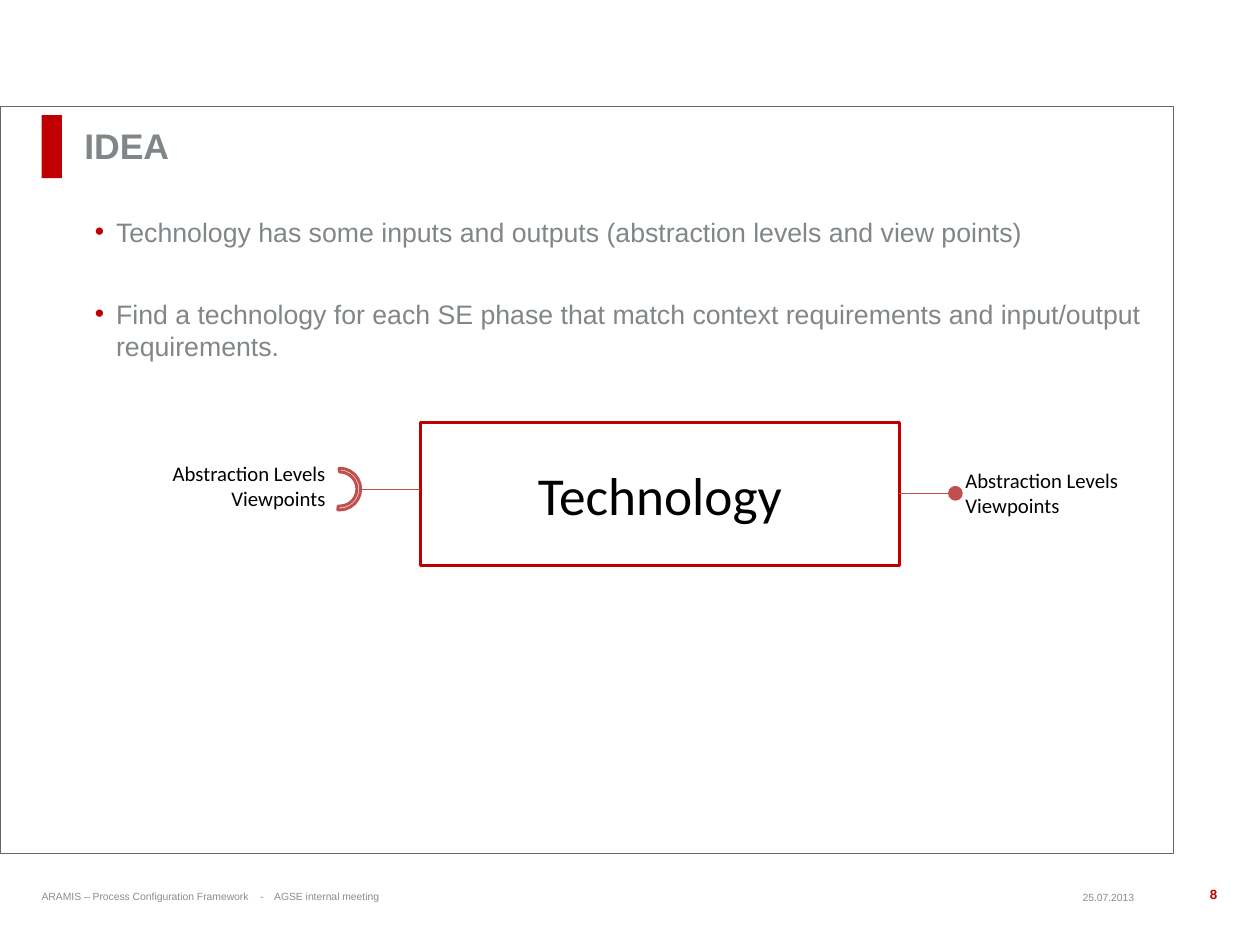
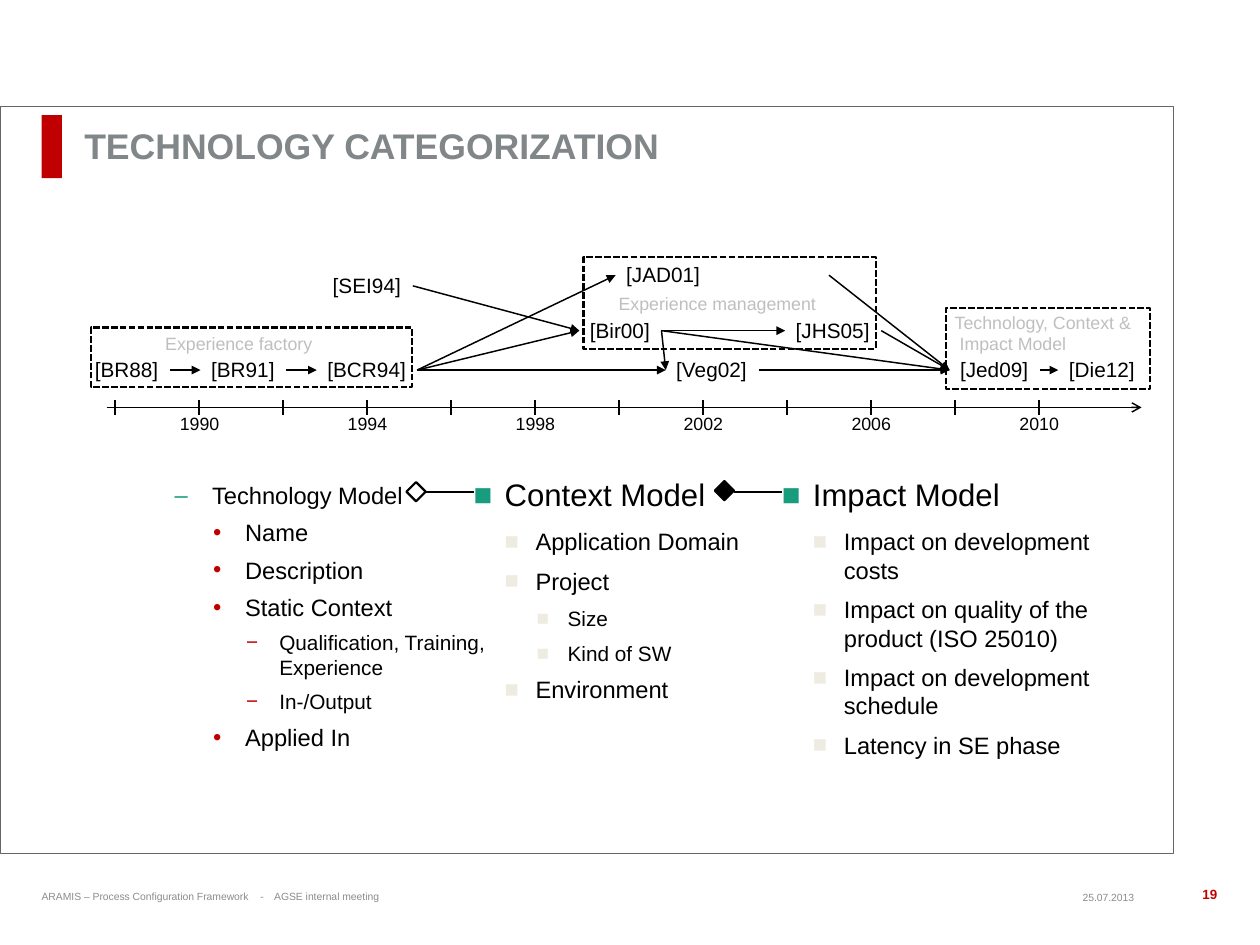
from lxml.etree import SubElement
from pptx import Presentation
from pptx.dml.color import RGBColor
from pptx.enum.dml import MSO_LINE
from pptx.enum.shapes import MSO_CONNECTOR, MSO_SHAPE
from pptx.enum.text import MSO_ANCHOR, PP_ALIGN
from pptx.oxml.ns import qn
from pptx.util import Inches, Pt

COLORS = {
    "red": "C00000", "rose": "C0504D", "black": "000000", "white": "FFFFFF",
    "title": "818689", "foot": "8C8C8C", "frame": "666666",
    "pale": "BFBFBF", "teal": "179C7D", "cream": "EEECE1",
}
ROW = 0.34
AXIS = 3.82
STEP = 0.787

# level: (indent, hang, bullet, colour, text size)
DASHED = [
    (0.63, 0.35, "–", "teal", 16),
    (0.94, 0.30, "•", "red", 16),
    (1.26, 0.31, "−", "red", 14),
]
SQUARE = [
    (0.29, 0.29, "■", "teal", 21),
    (0.58, 0.29, "■", "cream", 16),
    (0.88, 0.29, "■", "cream", 14),
]
TECH = [
    (0, "Technology Model"), (1, "Name"), (1, "Description"),
    (1, "Static Context"), (2, "Qualification, Training, Experience"),
    (2, "In-/Output"), (1, "Applied In"),
]
CONTEXT = [
    (0, "Context Model"), (1, "Application Domain"), (1, "Project"),
    (2, "Size"), (2, "Kind of SW"), (1, "Environment"),
]
IMPACT = [
    (0, "Impact Model"), (1, "Impact on development costs"),
    (1, "Impact on quality of the product (ISO 25010)"),
    (1, "Impact on development schedule"), (1, "Latency in SE phase"),
]
# source: (left, top, width)
PAPERS = {
    "BR88": (0.79, 3.30, 0.80), "BR91": (1.88, 3.30, 0.80),
    "BCR94": (2.97, 3.30, 0.94), "SEI94": (3.02, 2.51, 0.85),
    "JAD01": (5.77, 2.41, 0.91), "Bir00": (5.43, 2.93, 0.77),
    "JHS05": (7.36, 2.93, 0.90), "Veg02": (6.24, 3.30, 0.87),
    "Jed09": (8.90, 3.30, 0.85), "Die12": (9.92, 3.30, 0.85),
}
LINKS = [
    ("BR88", "BR91"), ("BR91", "BCR94"), ("BCR94", "JAD01"),
    ("BCR94", "Bir00"), ("BCR94", "Veg02"), ("SEI94", "Bir00"),
    ("Bir00", "JHS05"), ("Bir00", "Veg02"), ("Bir00", "Jed09"),
    ("JHS05", "Jed09"), ("Veg02", "Jed09"), ("Jed09", "Die12"),
]


def color(name):
    return RGBColor.from_string(COLORS[name])


def style(par, size, tone, bold=False, face="Arial"):
    font = par.font
    font.size, font.bold, font.name = Pt(size), bold, face
    font.color.rgb = color(tone)


def paint(shape, fill=None, line=None, width=1.0, dash=None):
    shape.shadow.inherit = False
    if fill:
        shape.fill.solid()
        shape.fill.fore_color.rgb = color(fill)
    else:
        shape.fill.background()
    if line:
        shape.line.color.rgb = color(line)
        shape.line.width = Pt(width)
        shape.line.dash_style = dash
    else:
        shape.line.fill.background()


def block(slide, kind, area, **look):
    shape = slide.shapes.add_shape(kind, *map(Inches, area))
    paint(shape, **look)
    return shape


def frame_box(slide, area, inset=True, wrap=True, anchor=MSO_ANCHOR.TOP):
    box = slide.shapes.add_textbox(*map(Inches, area))
    frame = box.text_frame
    frame.word_wrap = wrap
    frame.vertical_anchor = anchor
    if not inset:
        frame.margin_left = frame.margin_right = 0
        frame.margin_top = frame.margin_bottom = 0
    return box


def label(slide, text, area, size, tone="black", bold=False, face="Arial",
          align=PP_ALIGN.LEFT, **layout):
    box = frame_box(slide, area, **layout)
    box.text_frame.text = text
    for par in box.text_frame.paragraphs:
        par.alignment = align
        style(par, size, tone, bold, face)
    return box


def line(slide, start, end, tone="black", width=1.0, head=None):
    """Draw a straight line; head names the arrowhead at its end."""
    link = slide.shapes.add_connector(
        MSO_CONNECTOR.STRAIGHT, *map(Inches, (*start, *end)))
    link.line.color.rgb = color(tone)
    link.line.width = Pt(width)
    if head:
        SubElement(link.line._get_or_add_ln(), qn("a:tailEnd"), type=head)
    SubElement(link._element.spPr, qn("a:effectLst"))
    return link


def bullet(par, indent, hang, mark, tone):
    props = par._p.get_or_add_pPr()
    props.set("marL", str(Inches(indent)))
    props.set("indent", str(-Inches(hang)))
    tint = SubElement(props, qn("a:buClr"))
    SubElement(tint, qn("a:srgbClr"), val=COLORS[tone])
    SubElement(props, qn("a:buFont"), typeface="Arial")
    SubElement(props, qn("a:buChar"), char=mark)


def column(slide, left, items, levels, before=0, after=0, inset=True):
    """Write a bulleted list; after is a share of the text size."""
    frame = frame_box(slide, (left, 4.46, 3.46, 3.2), inset).text_frame
    for i, (level, text) in enumerate(items):
        par = frame.add_paragraph() if i else frame.paragraphs[0]
        *marks, size = levels[level]
        par.text, par.level = text, level
        par.space_before, par.space_after = Pt(before), Pt(after * size)
        style(par, size, "black")
        bullet(par, *marks)


def border(slide):
    """Draw the slide frame with its round lower right corner."""
    curve = [(10.63, 8.06), (11.13, 8.06), (11.42, 7.77), (11.42, 7.27)]
    points, steps = [], 16
    for i in range(steps + 1):
        t = i / steps
        parts = ((1 - t) ** 3, 3 * t * (1 - t) ** 2, 3 * t * t * (1 - t), t ** 3)
        points.append(tuple(
            sum(p * spot[axis] for p, spot in zip(parts, curve))
            for axis in (0, 1)))
    pen = slide.shapes.build_freeform(0.39, 8.07, scale=Inches(1))
    pen.add_line_segments(points + [(11.42, 0.79), (0.39, 0.79)], close=True)
    paint(pen.convert_to_shape(), line="frame", width=0.5)


def footer(slide, number):
    middle = {"inset": False, "anchor": MSO_ANCHOR.MIDDLE,
              "align": PP_ALIGN.RIGHT}
    label(slide, "25.07.2013", (10.04, 8.35, 0.59, 0.12), 7, "foot", **middle)
    label(slide, number, (10.75, 8.31, 0.66, 0.15), 9, "red", True, **middle)
    note = label(
        slide, "ARAMIS – Process Configuration Framework\t-\tAGSE internal meeting",
        (0.39, 8.35, 9.61, 0.12), 7, "foot", inset=False)
    props = note.text_frame.paragraphs[0]._p.get_or_add_pPr()
    tabs = SubElement(props, qn("a:tabLst"))
    for stop in (2.05, 2.18):
        SubElement(tabs, qn("a:tab"), pos=str(Inches(stop)), algn="l")


def page(deck, title, number):
    slide = deck.slides.add_slide(deck.slide_layouts[6])
    border(slide)
    block(slide, MSO_SHAPE.RECTANGLE, (0.39, 1.08, 0.19, 0.59), fill="red")
    label(slide, title, (0.79, 0.89, 10.24, 0.94), 24, "title", True,
          inset=False, anchor=MSO_ANCHOR.MIDDLE)
    footer(slide, number)
    return slide


def idea(deck):
    slide = page(deck, "IDEA", "8")
    body = label(
        slide,
        "Technology has some inputs and outputs (abstraction levels and view points)\n"
        "Find a technology for each SE phase that match context requirements"
        " and input/output requirements.",
        (0.79, 1.97, 10.24, 1.6), 18, "title")
    for par, gap in zip(body.text_frame.paragraphs, (6, 34)):
        par.space_before = Pt(gap)
        bullet(par, 0.2, 0.2, "•", "red")

    core = block(slide, MSO_SHAPE.RECTANGLE, (3.94, 3.96, 4.49, 1.34),
                 fill="white", line="red", width=2)
    core.text_frame.text = "Technology"
    core.text_frame.vertical_anchor = MSO_ANCHOR.MIDDLE
    par = core.text_frame.paragraphs[0]
    par.alignment = PP_ALIGN.CENTER
    style(par, 36, "black", face="Calibri")

    line(slide, (3.94, 4.59), (3.39, 4.59), "rose", 0.75)
    socket = block(slide, MSO_SHAPE.BLOCK_ARC, (2.99, 4.39, 0.39, 0.39),
                   fill="white", line="rose", width=2)
    socket.rotation = 90
    for i, value in enumerate((106.93, 3.33, 0.09)):
        socket.adjustments[i] = value
    line(slide, (8.9, 4.63), (8.43, 4.63), "rose", 0.75)
    block(slide, MSO_SHAPE.OVAL, (8.9, 4.57, 0.11, 0.11),
          fill="rose", line="rose", width=2)
    for left, top, align in ((1.5, 4.27, PP_ALIGN.RIGHT),
                             (8.95, 4.34, PP_ALIGN.LEFT)):
        label(slide, "Abstraction Levels\vViewpoints", (left, top, 1.65, 0.57),
              14, face="Calibri", align=align, wrap=False)


def axis(slide):
    line(slide, (1, AXIS), (10.7, AXIS), head="arrow")
    for i in range(12):
        x = 1.08 + i * STEP
        line(slide, (x, AXIS + 0.07), (x, AXIS - 0.07))
        if i % 2:
            label(slide, str(1988 + 2 * i), (x - 0.28, AXIS, 0.57, 0.3), 12,
                  wrap=False)


def papers(slide):
    """Place the sources and the arrows between them."""
    boxes = {
        name: label(slide, f"[{name}]", (*place, ROW), 14, wrap=False)
        for name, place in PAPERS.items()
    }
    for first, last in LINKS:
        link = line(slide, (0, 0), (1, 1), head="triangle")
        link.begin_connect(boxes[first], 3)
        link.end_connect(boxes[last], 1)
    line(slide, (7.77, 2.58), (8.9, 3.47), head="triangle")


def groups(slide):
    for area in ((0.85, 3.07, 3.01, 0.56), (5.47, 2.41, 2.74, 0.86),
                 (8.87, 2.89, 1.91, 0.76)):
        block(slide, MSO_SHAPE.RECTANGLE, area, line="black", width=1.5,
              dash=MSO_LINE.SQUARE_DOT)
    for text, area in (
            ("Experience factory", (1.45, 3.07, 1.65, 0.3)),
            ("Experience management", (5.7, 2.7, 2.14, 0.3)),
            ("Technology, Context &\n Impact Model", (8.85, 2.87, 2.02, 0.5))):
        label(slide, text, area, 12, "pale")


def models(slide):
    column(slide, 1.26, TECH, DASHED, before=6)
    column(slide, 4.44, CONTEXT, SQUARE, after=0.46, inset=False)
    column(slide, 7.33, IMPACT, SQUARE, after=0.46, inset=False)
    for left, top, fill in ((3.81, 4.52, None), (6.7, 4.51, "black")):
        block(slide, MSO_SHAPE.DIAMOND, (left, top, 0.18, 0.18),
              fill=fill, line="black", width=1.5)
        line(slide, (left + 0.18, 4.61), (left + 0.63, 4.61), width=1.5)


def main():
    deck = Presentation()
    deck.slide_width, deck.slide_height = Inches(11.81), Inches(8.86)
    idea(deck)
    slide = page(deck, "TECHNOLOGY CATEGORIZATION", "19")
    for part in (groups, axis, papers, models):
        part(slide)
    deck.save("out.pptx")


if __name__ == "__main__":
    main()
